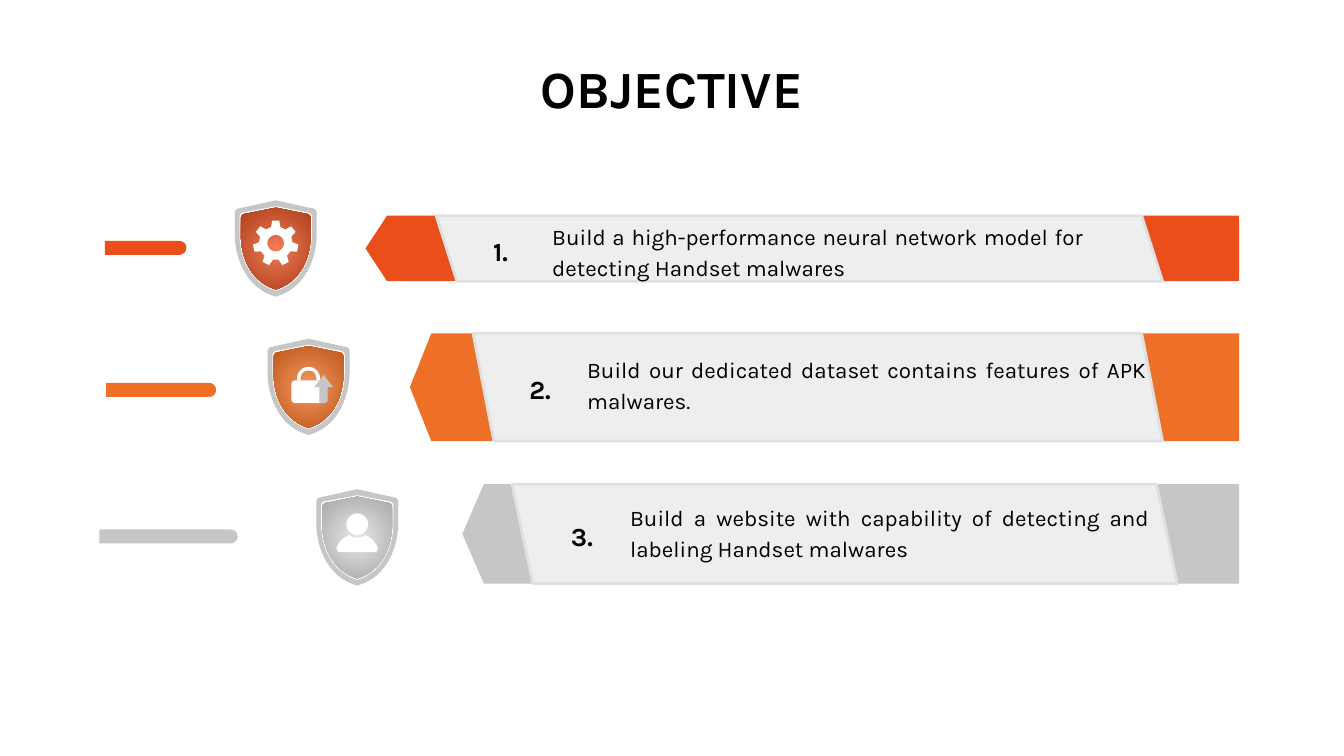
import math
from dataclasses import dataclass

import pptx
import pptx.dml.color
import pptx.enum.shapes
import pptx.enum.text
import pptx.oxml
import pptx.oxml.ns
import pptx.util

SHAPE = pptx.enum.shapes.MSO_SHAPE
ALIGN = pptx.enum.text.PP_ALIGN
ANCHOR = pptx.enum.text.MSO_ANCHOR


@dataclass(frozen=True)
class Theme:
    font: str = "Karla"
    ink: str = "000000"
    white: str = "FFFFFF"
    red: str = "E94E1B"
    orange: str = "EE7026"
    grey: str = "C6C6C6"
    panel: str = "EEEEEE"
    edge: str = "E0E0E0"
    title_size: int = 28
    number_size: int = 14
    body_size: int = 12
    spacing: float = 1.15


THEME = Theme()
CELL = 0.1  # inches: the grid has 100 columns and 56.25 rows, a 16:9 page
COLUMNS, ROWS = 100, 56.25


def color(value):
    return pptx.dml.color.RGBColor.from_string(value)


def grid(cells):
    return pptx.util.Inches(cells * CELL)


def trace(steps, pieces=12):
    """Turn corners (x, y) and cubic curves (x1, y1, x2, y2, x, y) into points."""
    points = []
    for step in steps:
        if len(step) == 2:
            points.append(step)
            continue
        x0, y0 = points[-1]
        x1, y1, x2, y2, x3, y3 = step
        for i in range(1, pieces + 1):
            t = i / pieces
            a, b, c, d = (1 - t) ** 3, 3 * t * (1 - t) ** 2, 3 * t * t * (1 - t), t ** 3
            points.append((a * x0 + b * x1 + c * x2 + d * x3,
                           a * y0 + b * y1 + c * y2 + d * y3))
    return points


def mirrored(steps):
    """Close a right half with its reflection about x = 0."""
    half = trace(steps)
    return half + [(-x, y) for x, y in reversed(half) if x]


def polar(radius, degrees):
    angle = math.radians(degrees)
    return radius * math.sin(angle), -radius * math.cos(angle)


class Painter:
    def __init__(self, page, theme):
        self.page, self.theme = page, theme

    def finish(self, shape, fill, line=None):
        shape.shadow.inherit = False
        if isinstance(fill, tuple):
            shape.fill.gradient()
            for stop, position, value in zip(shape.fill.gradient_stops, (0, 1), fill):
                stop.position, stop.color.rgb = position, color(value)
            gradient = shape._element.spPr.find(pptx.oxml.ns.qn("a:gradFill"))
            gradient.remove(gradient.find(pptx.oxml.ns.qn("a:lin")))
            gradient.append(pptx.oxml.parse_xml(
                f'<a:path {pptx.oxml.ns.nsdecls("a")} path="circle">'
                '<a:fillToRect l="50000" t="50000" r="50000" b="50000"/></a:path>'))
        else:
            shape.fill.solid()
            shape.fill.fore_color.rgb = color(fill)
        if line:
            shape.line.color.rgb = color(line)
            shape.line.width = pptx.util.Pt(1.5)
        else:
            shape.line.fill.background()

    def outline(self, contours, fill, line=None, origin=(0, 0)):
        placed = [[(grid(x + origin[0]), grid(y + origin[1])) for x, y in contour]
                  for contour in contours]
        builder = self.page.shapes.build_freeform(*placed[0][0], scale=1.0)
        for index, contour in enumerate(placed):
            if index:
                builder.move_to(*contour[0])
            builder.add_line_segments(contour[1:], close=True)
        self.finish(builder.convert_to_shape(), fill, line)

    def preset(self, kind, area, fill, origin=(0, 0)):
        left, top, width, height = area
        shape = self.page.shapes.add_shape(kind, grid(left + origin[0]), grid(top + origin[1]),
                                           grid(width), grid(height))
        self.finish(shape, fill)

    def text(self, words, area, size, bold=False, anchor=ANCHOR.TOP, **paragraph_format):
        box = self.page.shapes.add_textbox(*map(grid, area))
        frame = box.text_frame
        inset = grid(1)
        para = frame.paragraphs[0]
        span = para.add_run()
        span.text = words
        formats = (
            (frame, {"word_wrap": True, "vertical_anchor": anchor, "margin_left": inset,
                     "margin_right": inset, "margin_top": inset, "margin_bottom": inset}),
            (para, paragraph_format),
            (span.font, {"name": self.theme.font, "size": pptx.util.Pt(size), "bold": bold}),
        )
        for target, values in formats:
            for name, value in values.items():
                setattr(target, name, value)
        span.font.color.rgb = color(self.theme.ink)

    def bar(self, left, top, right, fill):
        height, radius = 1.04, 0.52
        end = [polar(radius, degrees) for degrees in range(0, 181, 15)]
        tip = [(right - radius + x, top + radius + y) for x, y in end]
        self.outline([[(left, top)] + tip + [(left, top + height)]], fill)

    def banner(self, top, height, tip, panel, fill):
        head, skew, right = 1.6, 1.55, 92.2
        bottom, (start, stop) = top + height, panel
        self.outline([[(tip + head, top), (right, top), (right, bottom),
                       (tip + head, bottom), (tip, top + height / 2)]], fill)
        self.outline([[(start, top), (start + skew, bottom), (stop + skew, bottom),
                       (stop, top)]], self.theme.panel, self.theme.edge)

    def shield(self, origin, gradient):
        layers = ((3.05, 0, 0.6, 7.17, self.theme.grey),
                  (2.69, 0.45, 0.9, 6.75, self.theme.white),
                  (2.6, 0.55, 1, 6.65, gradient))
        for half, top, shoulder, bottom, fill in layers:
            side = mirrored([(0, top), (half - 0.35, shoulder),
                             (half - 0.15, shoulder, half, shoulder + 0.15, half, shoulder + 0.35),
                             (half, 2.55),
                             (half, 4.2, half * 0.74, bottom - 0.6, 0, bottom)])
            self.outline([side], fill, origin=origin)

    def gear(self, origin):
        teeth = [polar(radius, tooth * 360 / 7 + degrees) for tooth in range(7)
                 for radius, degrees in ((1.25, -16), (1.7, -9), (1.7, 9), (1.25, 16))]
        hole = [polar(0.62, degrees) for degrees in range(0, 360, 10)]
        center = (origin[0], origin[1] + 3.2)
        self.outline([teeth, hole], self.theme.white, origin=center)

    def padlock(self, origin):
        self.preset(SHAPE.ROUNDED_RECTANGLE, (-1.28, 3.1, 2.56, 1.7), self.theme.white, origin)
        shackle = mirrored([(0, 2.1), (0.47, 2.1, 0.85, 2.5, 0.85, 2.95), (0.85, 3.1),
                            (0.58, 3.1), (0.58, 2.95), (0.58, 2.6, 0.35, 2.38, 0, 2.38)])
        self.outline([shackle], self.theme.white, origin=origin)
        stem = trace([(0.8, 3.4), (0.8, 4.8), (1.15, 4.8),
                      (1.3, 4.8, 1.43, 4.7, 1.43, 4.5), (1.43, 3.4)])
        self.outline([stem], self.theme.grey, origin=origin)
        self.preset(SHAPE.ISOSCELES_TRIANGLE, (0.42, 2.7, 1.4, 0.9), self.theme.grey, origin)

    def person(self, origin):
        self.preset(SHAPE.OVAL, (-0.81, 1.8, 1.62, 1.62), self.theme.white, origin)
        body = mirrored([(0, 3.63), (0.2, 3.63, 0.42, 3.55, 0.6, 3.42),
                         (1, 3.6, 1.35, 3.9, 1.5, 4.3), (1.6, 4.5, 1.45, 4.68, 1.3, 4.68),
                         (0, 4.68)])
        self.outline([body], self.theme.white, origin=origin)


def main():
    deck = pptx.Presentation()
    deck.slide_width, deck.slide_height = grid(COLUMNS), grid(ROWS)
    page = deck.slides.add_slide(deck.slide_layouts[6])
    paint = Painter(page, THEME)

    # Title
    paint.text("OBJECTIVE", (5, 3.2, 90, 6.3), THEME.title_size, True, alignment=ALIGN.CENTER)

    # One entry for each objective
    objectives = (
        dict(fill=THEME.red, glow=("EF7D57", "AB3D18"), icon=paint.gear, shield=(20.52, 14.9),
             top=16.05, height=4.87, tip=27.2, panel=(32.45, 84.95), bar=(7.8, 17.93, 13.87),
             number=35.7, area=(40.1, 15.3, 41.5, 5.6),
             words="Build a high-performance neural network model for detecting Handset malwares"),
        dict(fill=THEME.orange, glow=("F39863", "BD5417"), icon=paint.padlock,
             shield=(22.96, 25.2), top=24.8, height=8.02, tip=30.5, panel=(35.2, 84.95),
             bar=(7.9, 28.5, 16.08), number=38.4, area=(42.7, 25.2, 43.6, 8.3),
             words="Build our dedicated dataset contains features of APK malwares."),
        dict(fill=THEME.grey, glow=("E7E7E7", "A6A6A6"), icon=paint.person,
             shield=(26.58, 36.4), top=36.03, height=7.4, tip=34.4, panel=(38.1, 86.05),
             bar=(7.4, 39.4, 17.68), number=41.5, area=(45.9, 36.2, 40.6, 7.5),
             words="Build a website with capability of detecting and labeling Handset malwares"),
    )
    for index, row in enumerate(objectives, 1):
        # Banner and side bar
        paint.banner(row["top"], row["height"], row["tip"], row["panel"], row["fill"])
        paint.bar(*row["bar"], row["fill"])
        # Number and wording
        paint.text(f"{index}.", (row["number"], row["top"], 4.9, row["height"]),
                   THEME.number_size, True, ANCHOR.MIDDLE, line_spacing=THEME.spacing)
        paint.text(row["words"], row["area"], THEME.body_size, alignment=ALIGN.JUSTIFY,
                   line_spacing=THEME.spacing, space_after=pptx.util.Pt(16))
        # Shield and its icon
        paint.shield(row["shield"], row["glow"])
        row["icon"](row["shield"])

    deck.save("out.pptx")


if __name__ == "__main__":
    main()
